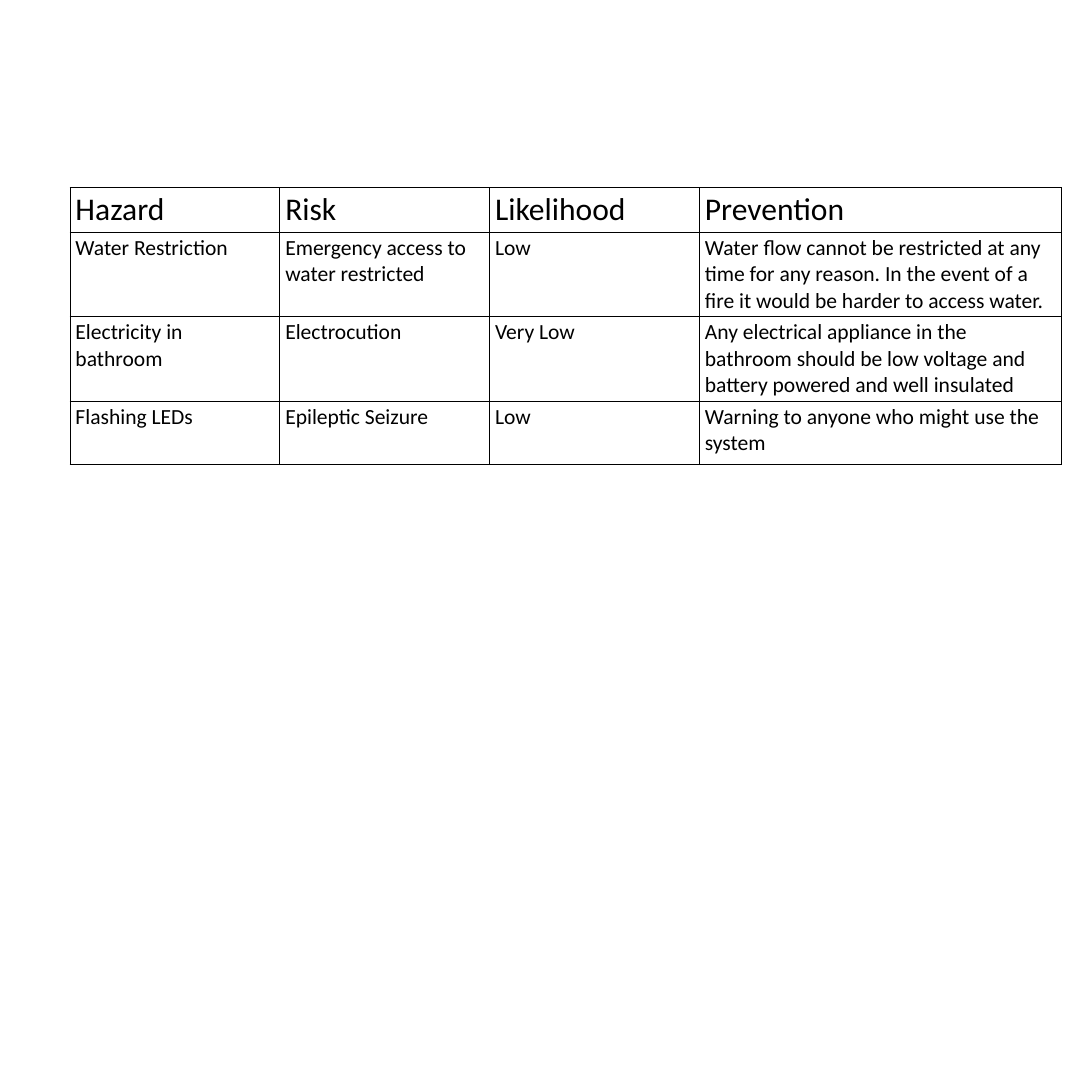
from pptx import Presentation
from pptx.dml.color import RGBColor as RGB
from pptx.oxml.ns import qn
from pptx.util import Pt
from lxml.etree import SubElement as Sub

PX = 16476
SIDE = 1093
FONT = "Calibri"
COLORS = {"text": "000000", "rule": "000000"}
HEAD_SIZE, BODY_SIZE = 41, 28
COLS = [210, 210, 210, 362]
ROWS = [44, 63, 63, 63]
RISKS = [
    ["Hazard", "Risk", "Likelihood", "Prevention"],
    ["Water Restriction", "Emergency access to water restricted", "Low",
     "Water flow cannot be restricted at any time for any reason. "
     "In the event of a fire it would be harder to access water."],
    ["Electricity in bathroom", "Electrocution", "Very Low",
     "Any electrical appliance in the bathroom should be low voltage "
     "and battery powered and well insulated"],
    ["Flashing LEDs", "Epileptic Seizure", "Low",
     "Warning to anyone who might use the system"],
]


def add_rules(cell):
    """Draw a thin line on all four sides of a cell."""
    props = cell._tc.get_or_add_tcPr()
    for side in ("a:lnL", "a:lnR", "a:lnT", "a:lnB"):
        line = Sub(props, qn(side), w=str(Pt(1)))
        fill = Sub(line, qn("a:solidFill"))
        Sub(fill, qn("a:srgbClr"), val=COLORS["rule"])


def fill_cell(cell, text, size):
    cell.text_frame.text = text
    font = cell.text_frame.paragraphs[0].runs[0].font
    font.name = FONT
    font.size = Pt(size)
    font.bold = False
    font.color.rgb = RGB.from_string(COLORS["text"])
    add_rules(cell)
    cell.fill.background()


def add_risks(slide, left, top, cols, rows):
    box = [n * PX for n in (left, top, sum(cols), sum(rows))]
    table = slide.shapes.add_table(len(rows), len(cols), *box).table
    table.first_row = table.horz_banding = False
    for col, width in zip(table.columns, cols):
        col.width = width * PX
    for i, (row, height) in enumerate(zip(table.rows, rows)):
        row.height = height * PX
        size = BODY_SIZE if i else HEAD_SIZE
        for cell, text in zip(row.cells, RISKS[i]):
            fill_cell(cell, text, size)


def main():
    deck = Presentation()
    deck.slide_width = deck.slide_height = SIDE * PX
    slide = deck.slides.add_slide(deck.slide_layouts[6])
    add_risks(slide, 70, 188, COLS, ROWS)
    deck.save("out.pptx")


if __name__ == "__main__":
    main()
